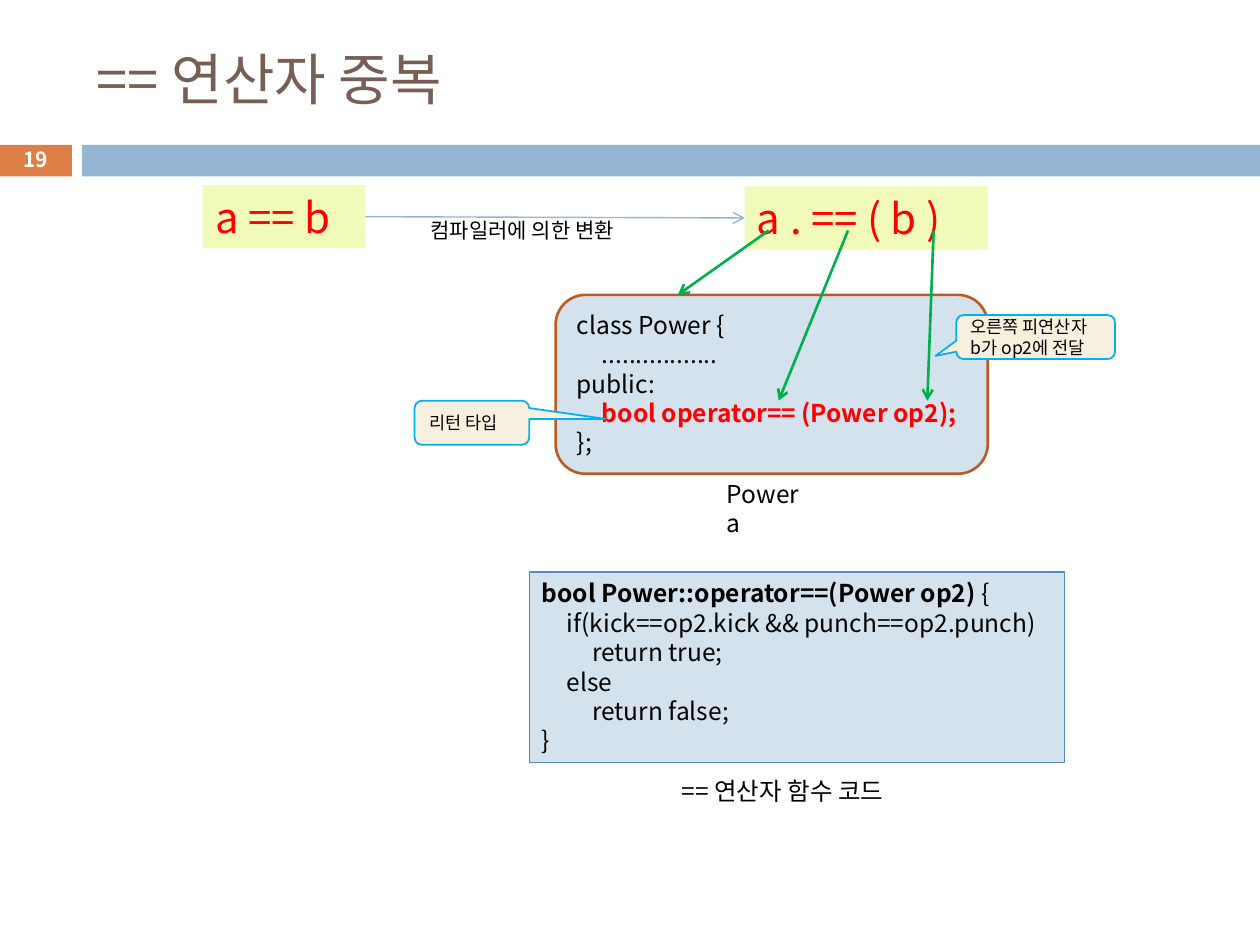
from lxml import etree
from pptx import Presentation
from pptx.dml.color import RGBColor
from pptx.enum.shapes import MSO_CONNECTOR, MSO_SHAPE
from pptx.enum.text import MSO_ANCHOR, PP_ALIGN
from pptx.oxml.ns import qn
from pptx.util import Inches, Pt

RECT = MSO_SHAPE.RECTANGLE
ROUND = MSO_SHAPE.ROUNDED_RECTANGLE
CALLOUT = MSO_SHAPE.ROUNDED_RECTANGULAR_CALLOUT
STRAIGHT = MSO_CONNECTOR.STRAIGHT
TOP, MIDDLE = MSO_ANCHOR.TOP, MSO_ANCHOR.MIDDLE
LEFT, CENTER = PP_ALIGN.LEFT, PP_ALIGN.CENTER

FONT = "Noto Sans CJK KR"
TAB = 0.2
COLORS = {
    "title": "775F55", "number": "DD8047", "bar": "94B6D2",
    "code": "D4E2ED", "class_edge": "B95B22", "body_edge": "558BB8",
    "expr": "F1FAB8", "red": "FF0000", "green": "00B050",
    "note": "F7F0DE", "note_edge": "00B0F0",
    "black": "000000", "white": "FFFFFF",
}


def rgb(name):
    return RGBColor.from_string(COLORS[name])


def add_tabs(p, count=2):
    tabs = etree.SubElement(p._p.get_or_add_pPr(), qn("a:tabLst"))
    for i in range(1, count + 1):
        etree.SubElement(tabs, qn("a:tab"), pos=str(Inches(TAB * i)), algn="l")


def write_text(sp, lines, size=14, color="black", bold=False, align=LEFT,
               anchor=TOP, wrap=True):
    tf = sp.text_frame
    tf.word_wrap = wrap
    tf.vertical_anchor = anchor
    for i, line in enumerate(lines):
        p = tf.paragraphs[0] if i == 0 else tf.add_paragraph()
        p.alignment = align
        p.line_spacing = Pt(size * 1.2)
        runs = [(line, {})] if isinstance(line, str) else line
        if any("\t" in text for text, _ in runs):
            add_tabs(p)
        for text, style in runs:
            r = p.add_run()
            r.text = text
            r.font.name = FONT
            r.font.size = Pt(size)
            r.font.bold = style.get("bold", bold)
            r.font.color.rgb = rgb(style.get("color", color))
            etree.SubElement(r._r.get_or_add_rPr(), qn("a:ea"), typeface=FONT)


class SlideBuilder:
    def __init__(self, prs):
        self.slide = prs.slides.add_slide(prs.slide_layouts[6])

    def shape(self, kind, box, fill, edge=None, width=1, adj=()):
        sp = self.slide.shapes.add_shape(kind, *map(Inches, box))
        sp.shadow.inherit = False
        sp.fill.solid()
        sp.fill.fore_color.rgb = rgb(fill)
        if edge:
            sp.line.color.rgb = rgb(edge)
            sp.line.width = Pt(width)
        else:
            sp.line.fill.background()
        for i, value in enumerate(adj):
            sp.adjustments[i] = value
        return sp

    def text(self, box, lines, **style):
        sp = self.slide.shapes.add_textbox(*map(Inches, box))
        write_text(sp, lines, **style)

    def expression(self, box, text):
        sp = self.shape(RECT, box, "expr")
        write_text(sp, [text], size=24, color="red", wrap=False)

    def callout(self, box, tip, lines):
        sp = self.shape(CALLOUT, box, "note", "note_edge", adj=(*tip, 0.167))
        write_text(sp, lines, size=10, anchor=MIDDLE)

    def arrow(self, start, end, color="green", width=1.5):
        cx = self.slide.shapes.add_connector(STRAIGHT, *map(Inches, (*start, *end)))
        cx.line.color.rgb = rgb(color)
        cx.line.width = Pt(width)
        etree.SubElement(cx.line._get_or_add_ln(), qn("a:tailEnd"), type="arrow")
        etree.SubElement(cx._element.spPr, qn("a:effectLst"))


def main():
    prs = Presentation()
    prs.slide_width, prs.slide_height = Inches(10), Inches(7.5)
    s = SlideBuilder(prs)

    s.shape(RECT, (-0.01, 1.15, 0.58, 0.25), "number")
    s.shape(RECT, (0.65, 1.15, 9.35, 0.25), "bar")
    s.text((0.67, 0.25, 8.92, 0.74), ["== 연산자 중복"], size=32, color="title",
           anchor=MIDDLE)
    s.text((-0.01, 1.13, 0.58, 0.27), ["19"], size=11.9, color="white", bold=True,
           align=CENTER, anchor=MIDDLE)

    class_box = s.shape(ROUND, (4.41, 2.34, 3.43, 1.42), "code", "class_edge", 1.5)
    write_text(class_box, [
        "class Power {",
        "\t.................",
        "public:",
        [("\t", {}), ("bool operator== (Power op2);", {"color": "red", "bold": True})],
        "};",
    ])
    body_box = s.shape(RECT, (4.2, 4.54, 4.25, 1.51), "code", "body_edge", 0.75)
    write_text(body_box, [
        [("bool Power::operator==(Power op2) ", {"bold": True}), ("{", {})],
        "\tif(kick==op2.kick && punch==op2.punch)",
        "\t\treturn true;",
        "\telse",
        "\t\treturn false;",
        "}",
    ])

    s.expression((1.61, 1.47, 1.29, 0.5), "a == b")
    s.expression((5.91, 1.48, 1.93, 0.5), "a . == ( b )")
    s.arrow((2.9, 1.72), (5.91, 1.73), "bar", 0.79)
    s.text((3.32, 1.68, 2.06, 0.3), ["컴파일러에 의한 변환"], size=12)
    s.text((5.67, 3.75, 0.91, 0.34), ["Power a"])

    for start_x, end in ((7.41, (7.36, 3.18)), (6.73, (6.18, 3.18)), (6.1, (5.38, 2.34))):
        s.arrow((start_x, 1.83), end)

    s.callout((3.29, 3.18, 0.91, 0.35), (1.164, -0.085), ["리턴 타입"])
    s.callout((7.59, 2.5, 1.26, 0.35), (-0.631, 0.427),
              ["오른쪽 피연산자", "b가 op2에 전달"])
    s.text((5.31, 6.11, 2.05, 0.34), ["== 연산자 함수 코드"], wrap=False)

    prs.save("out.pptx")


if __name__ == "__main__":
    main()
